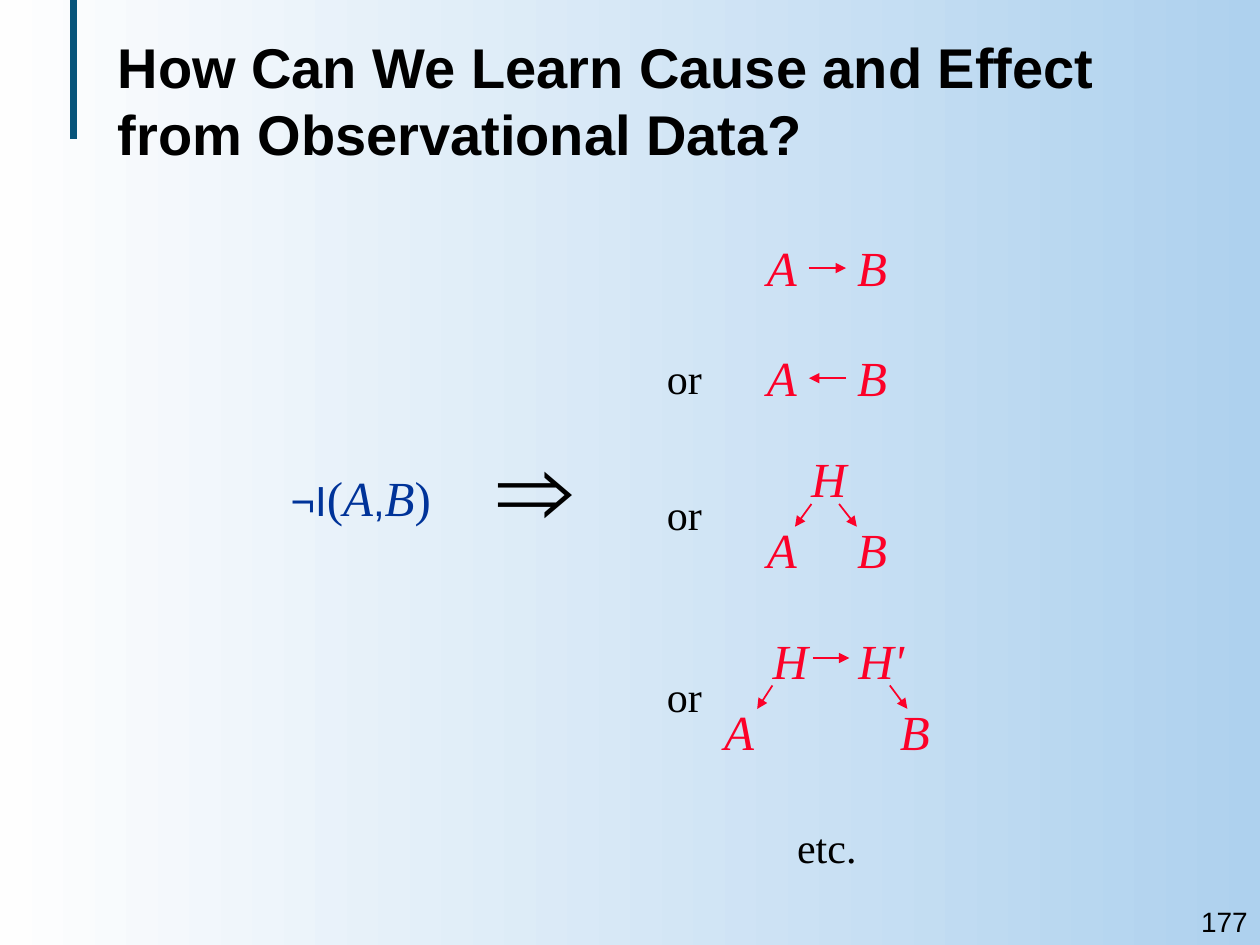
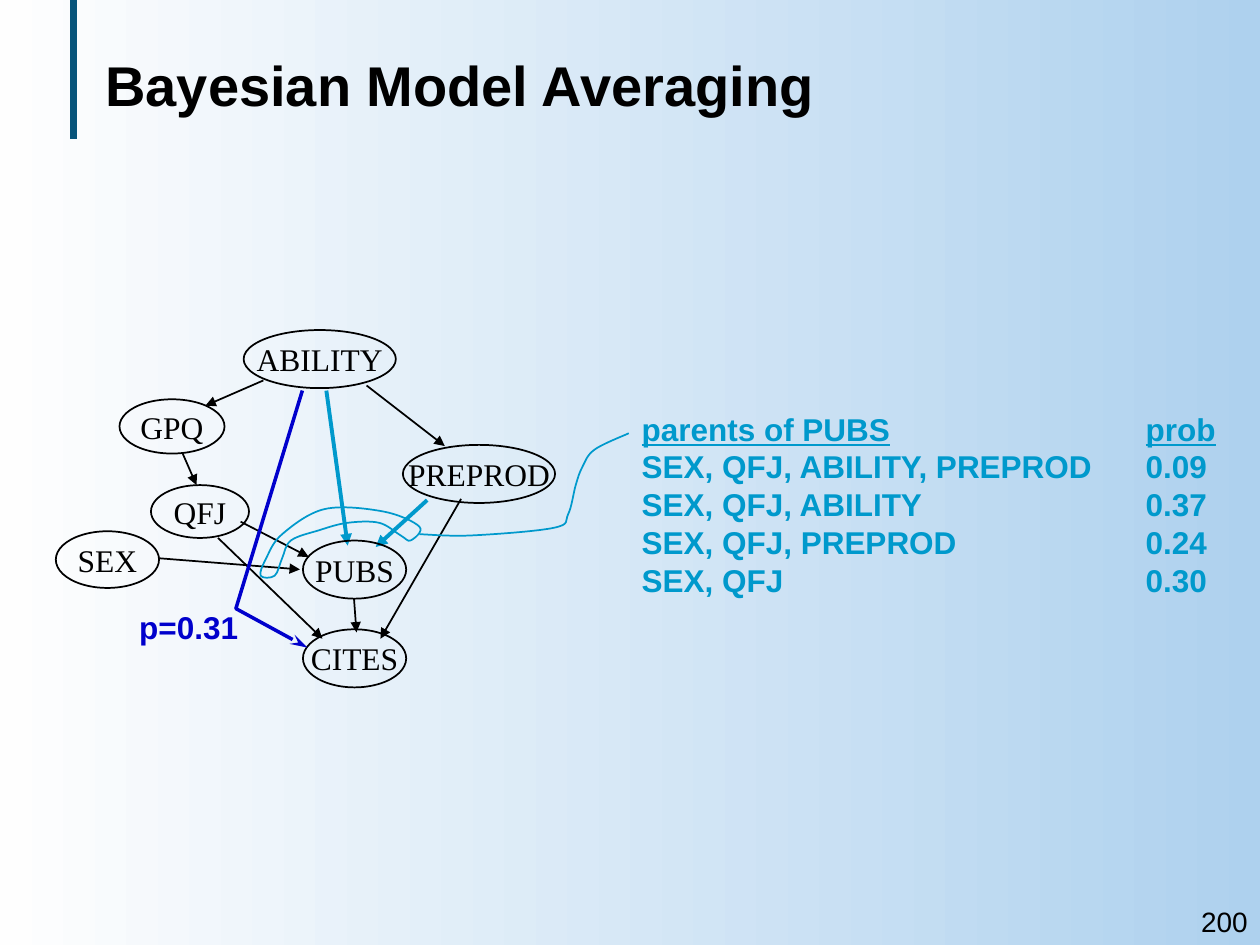
from dataclasses import dataclass

import lxml.etree
import pptx
import pptx.dml.color
import pptx.enum.shapes
import pptx.enum.text
import pptx.oxml.ns
import pptx.util

Pt = pptx.util.Pt
qn = pptx.oxml.ns.qn
ALIGN = pptx.enum.text.PP_ALIGN


@dataclass(frozen=True)
class Theme:
    sans: str = "Arial"
    serif: str = "Times New Roman"
    ink: str = "000000"
    bar: str = "07547A"
    bg_right: str = "AED1EE"
    bg_left: str = "FEFEFE"
    formula: str = "003399"
    cause: str = "FC0128"
    parents: str = "0099CC"
    path_blue: str = "0000CC"
    title_size: float = 32
    implies_size: float = 60
    symbol_size: float = 28
    word_size: float = 24
    node_size: float = 18
    number_size: float = 16


T = Theme()

PAIR = "A\tB"
ALTERNATIVES = [
    (132.2, None, [(PAIR, 57.5, 0, 83.5, 51.5)], [(88.6, 21, 109.8, 21)]),
    (195.1, 2.5, [(PAIR, 57.5, 0, 83.5, 51.5)], [(109.8, 21, 88.6, 21)]),
    (252.7, 22.7,
     [("H", 82.5, 0, 34.6, None), (PAIR, 57.5, 40.3, 83.5, 51.5)],
     [(90, 35.3, 80.6, 48.3), (105.8, 35.3, 115.9, 48.3)]),
    (356.4, 23.1,
     [("H", 60.5, 0, 34.6, None), ("H'", 109.4, 0, 41, None),
      (PAIR, 33, 41, 132.5, 100.5)],
     [(67.7, 35.3, 59, 48.7), (134.8, 35.3, 144.8, 48.7),
      (90.8, 19.6, 111.7, 19.6)]),
]

NODES = [
    ("GPQ", 36.6, 39.6, 60, 31),
    ("ABILITY", 107.5, 0, 87, 33.2),
    ("QFJ", 54.6, 88.6, 56, 30.2),
    ("PREPROD", 198.5, 65.6, 87, 33.2),
    ("SEX", 0.2, 115, 59, 32.4),
    ("CITES", 141.4, 171, 59, 33.2),
    ("PUBS", 141.4, 120.3, 59, 33.2),
]
EDGES = [
    (72.7, 70.6, 80.6, 88.6), (177.8, 31.7, 222.5, 66.3),
    (170.6, 153.4, 172, 172.8), (118.8, 28.8, 85.7, 43.2),
    (231.8, 96.5, 185.7, 176.4), (105.8, 109.5, 144.7, 129.6),
    (59, 130.4, 139.7, 136.8), (92.9, 118.8, 152.6, 176.4),
]
UNCERTAIN_EDGES = [(154.8, 34.6, 167, 123.2), (212.4, 97.2, 183, 124)]
ABILITY_TO_CITES = [(141.1, 34.6), (103.1, 159.2), (144, 181.5)]
PARENTS_LOOP = [
    (208, 112.4), (187.2, 103.7), (154, 102.3), (129.6, 116.7),
    (120.2, 131), (117.3, 140.4), (125.3, 140.4), (129.6, 130.4),
    (134.6, 120.3), (150.5, 114.5), (167, 110.2), (185, 110.2),
    (197.3, 117.4), (203, 120.3),
]
LOOP_TO_LIST = [
    (208, 116.7), (237.6, 117.4), (285, 113), (293, 105.2),
    (297.3, 88.6), (301, 78.5), (308, 68.4), (327.6, 59),
]
PARENT_SETS = [
    ("parents of PUBS", "prob"),
    ("SEX, QFJ, ABILITY, PREPROD", "0.09"),
    ("SEX, QFJ, ABILITY", "0.37"),
    ("SEX, QFJ, PREPROD", "0.24"),
    ("SEX, QFJ", "0.30"),
]


def rgb(color):
    return pptx.dml.color.RGBColor.from_string(color)


def write(p, text, size=T.node_size, font=T.sans, color=T.ink,
          bold=False, italic=False, underline=False):
    r = p.add_run()
    r.text = text
    f = r.font
    f.size, f.name = Pt(size), font
    f.bold, f.italic, f.underline = bold, italic, underline
    f.color.rgb = rgb(color)


def add_tab(p, position):
    tabs = lxml.etree.SubElement(p._p.get_or_add_pPr(), qn("a:tabLst"))
    lxml.etree.SubElement(tabs, qn("a:tab"), pos=str(Pt(position)), algn="l")


def set_frame(sp, wrap=False):
    tf = sp.text_frame
    tf.word_wrap = wrap
    tf.auto_size = pptx.enum.text.MSO_AUTO_SIZE.NONE
    tf.vertical_anchor = pptx.enum.text.MSO_ANCHOR.MIDDLE
    return tf


def add_box(s, box):
    return set_frame(s.shapes.add_textbox(*map(Pt, box)))


def label(s, box, text, align=ALIGN.CENTER, tab=None, **fmt):
    p = add_box(s, box).paragraphs[0]
    p.alignment = ALIGN.LEFT if tab else align
    if tab:
        add_tab(p, tab)
    write(p, text, **fmt)


def set_line(sp, color, width, arrow=None):
    sp.line.color.rgb = rgb(color)
    sp.line.width = Pt(width)
    if arrow:
        ln = sp.element.spPr.find(qn("a:ln"))
        length = "lg" if arrow == "stealth" else "med"
        lxml.etree.SubElement(ln, qn("a:tailEnd"), type=arrow, len=length)


def add_line(s, ends, color, width=1, arrow="triangle", origin=(0, 0)):
    x, y = origin
    x1, y1, x2, y2 = ends
    c = s.shapes.add_connector(pptx.enum.shapes.MSO_CONNECTOR.STRAIGHT,
                               Pt(x + x1), Pt(y + y1), Pt(x + x2), Pt(y + y2))
    set_line(c, color, width, arrow)
    lxml.etree.SubElement(c.element.spPr, qn("a:effectLst"))
    return c


def add_outline(s, points, origin, color, width=1, closed=False, arrow=None):
    pts = [(Pt(origin[0] + x), Pt(origin[1] + y)) for x, y in points]
    builder = s.shapes.build_freeform(*pts[0])
    builder.add_line_segments(pts[1:] + pts[:1] * closed, close=closed)
    sp = builder.convert_to_shape()
    sp.shadow.inherit = False
    sp.fill.background()
    set_line(sp, color, width, arrow)
    return sp


def add_curve(s, knots, origin, color, closed=False):
    sp = add_outline(s, knots, origin, color, closed=closed)
    left, top = (min(values) for values in zip(*knots))
    n = len(knots)

    def knot(i):
        return knots[i % n] if closed else knots[min(max(i, 0), n - 1)]

    for i, segment in enumerate(list(sp.element.spPr.iter(qn("a:lnTo")))):
        a, b, c, d = (knot(i + k) for k in (-1, 0, 1, 2))
        controls = [
            (b[0] + (c[0] - a[0]) / 6, b[1] + (c[1] - a[1]) / 6),
            (c[0] - (d[0] - b[0]) / 6, c[1] - (d[1] - b[1]) / 6),
        ]
        segment.tag = qn("a:cubicBezTo")
        for k, (x, y) in enumerate(controls):
            segment.insert(k, segment.makeelement(
                qn("a:pt"), {"x": str(Pt(x - left)), "y": str(Pt(y - top))}))


def style_master(prs):
    master = prs.slide_master
    fill = master.background.fill
    fill.gradient()
    fill.gradient_angle = 180
    for stop, color, position in zip(fill.gradient_stops,
                                     (T.bg_right, T.bg_left), (0, 1)):
        stop.color.rgb = rgb(color)
        stop.position = position
    bar = add_line(prs.slides[0], (42, 0, 42, 79.7), T.bar, 4, arrow=None)
    master.element.cSld.spTree.append(bar.element)


def add_slide(prs, title, title_box, number):
    s = prs.slides.add_slide(prs.slide_layouts[5])
    sp = s.shapes.title
    sp.left, sp.top, sp.width, sp.height = map(Pt, title_box)
    p = set_frame(sp, wrap=True).paragraphs[0]
    p.alignment = ALIGN.LEFT
    write(p, title, size=T.title_size, bold=True)
    label(s, (647, 513, 73, 27), number, align=ALIGN.RIGHT, size=T.number_size)
    return s


def add_dependence(s, box):
    x, y, w, h = box
    p = add_box(s, (x, y + 26.3, w, h)).paragraphs[0]
    p.alignment = ALIGN.CENTER
    plain = dict(size=T.word_size, color=T.formula)
    math = dict(size=T.symbol_size, font=T.serif, color=T.formula)
    write(p, "¬Ι", **plain)
    write(p, "(", **math)
    write(p, "A", italic=True, **math)
    write(p, ",", **plain)
    write(p, "B", italic=True, **math)
    write(p, ")", **math)
    label(s, (x + 116.7, y, 62.6, 79.5), "⇒", size=T.implies_size)


def add_alternative(s, origin, or_top, symbols, arrows):
    x, y = origin
    for text, dx, dy, w, tab in symbols:
        label(s, (x + dx, y + dy, w, 41), text, tab=tab, size=T.symbol_size,
              font=T.serif, color=T.cause, italic=True)
    for ends in arrows:
        add_line(s, ends, T.cause, origin=origin)
    if or_top is not None:
        label(s, (x, y + or_top, 34.6, 36), "or",
              size=T.word_size, font=T.serif)


def add_network(s, origin):
    x, y = origin
    for ends in EDGES:
        add_line(s, ends, T.ink, origin=origin)
    for ends in UNCERTAIN_EDGES:
        add_line(s, ends, T.parents, 2.25, origin=origin)
    for name, dx, dy, w, h in NODES:
        sp = s.shapes.add_shape(pptx.enum.shapes.MSO_SHAPE.OVAL,
                                Pt(x + dx), Pt(y + dy), Pt(w), Pt(h))
        sp.shadow.inherit = False
        sp.fill.background()
        set_line(sp, T.ink, 1)
        p = set_frame(sp).paragraphs[0]
        p.alignment = ALIGN.CENTER
        write(p, name, font=T.serif)
    add_outline(s, ABILITY_TO_CITES, origin, T.path_blue, 2, arrow="stealth")
    label(s, (x + 40.5, y + 155, 71.3, 28.8), "p=0.31",
          color=T.path_blue, bold=True)
    add_curve(s, PARENTS_LOOP, origin, T.parents, closed=True)
    add_curve(s, LOOP_TO_LIST, origin, T.parents)


def add_parent_list(s, box):
    tf = add_box(s, box)
    for i, row in enumerate(PARENT_SETS):
        p = tf.add_paragraph() if i else tf.paragraphs[0]
        add_tab(p, 288)
        write(p, "\t".join(row), color=T.parents, bold=True, underline=i == 0)


def cause_slide(prs):
    s = add_slide(prs, "How Can We Learn Cause and Effect from Observational Data?",
                  (60, 12, 602.5, 90), "177")
    add_dependence(s, (157.7, 237, 97, 41))
    for top, or_top, symbols, arrows in ALTERNATIVES:
        add_alternative(s, (373.7, top), or_top, symbols, arrows)
    label(s, (448.5, 466, 48, 36), "etc.", size=T.word_size, font=T.serif)


def averaging_slide(prs):
    s = add_slide(prs, "Bayesian Model Averaging", (53, 0, 605, 96.5), "200")
    add_network(s, (31.7, 188.6))
    add_parent_list(s, (359.6, 230.6, 343, 115))


def main():
    prs = pptx.Presentation()
    prs.slide_width, prs.slide_height = Pt(720), Pt(540)
    cause_slide(prs)
    averaging_slide(prs)
    style_master(prs)
    prs.save("out.pptx")


if __name__ == "__main__":
    main()
